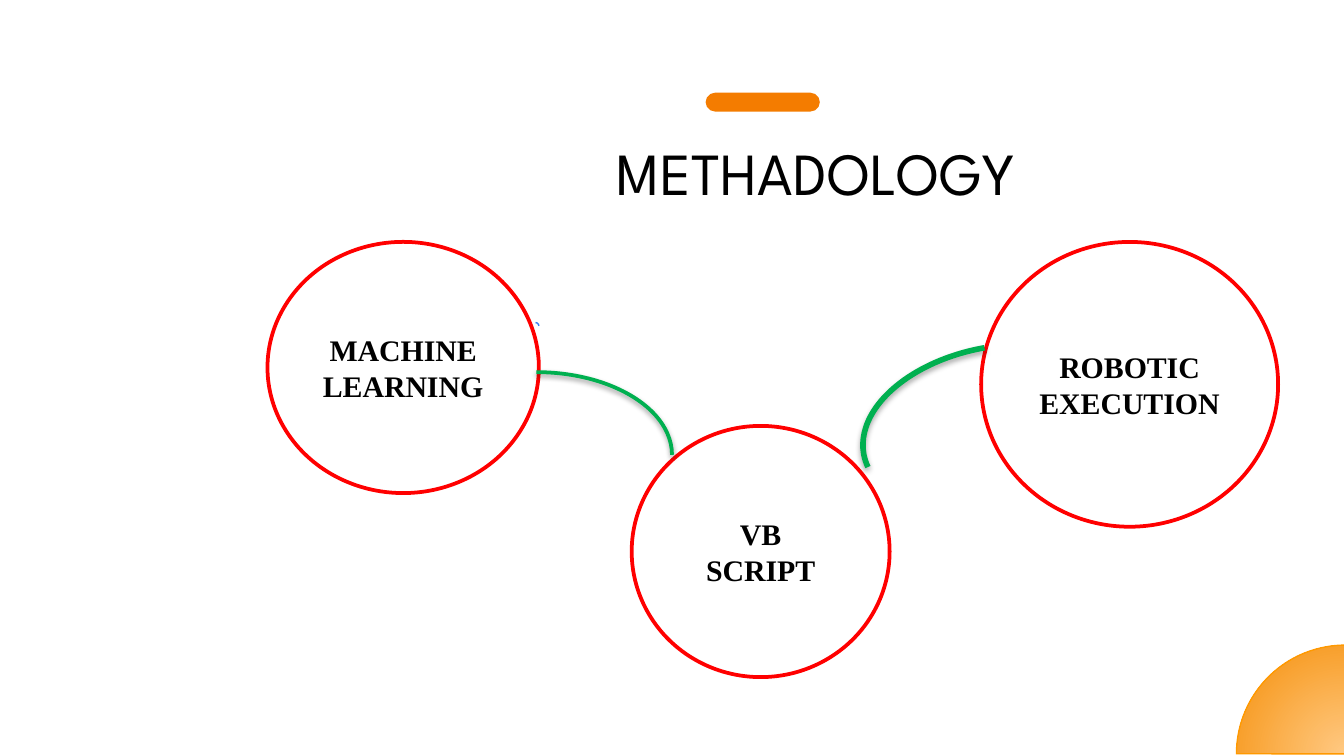
"""Builds the methodology slide: three circled steps joined by arcs."""
from lxml import etree
from pptx import Presentation
from pptx.dml.color import RGBColor
from pptx.enum.shapes import MSO_SHAPE
from pptx.enum.text import MSO_ANCHOR, PP_ALIGN
from pptx.oxml.ns import qn
from pptx.util import Pt

ELLIPSE = MSO_SHAPE.OVAL
ARC = MSO_SHAPE.ARC
PIE = MSO_SHAPE.PIE
ROUNDED = MSO_SHAPE.ROUNDED_RECTANGLE
MIDDLE = MSO_ANCHOR.MIDDLE
LEFT, CENTER = PP_ALIGN.LEFT, PP_ALIGN.CENTER


def color(value):
    return RGBColor.from_string(value)


class SlideBuilder:
    title_font = "League Spartan"
    body_font = "Times New Roman"
    black, white = "000000", "FFFFFF"
    orange, red, green, blue = "F47C00", "FF0000", "00B050", "3B7FF2"

    def __init__(self, slide):
        self.slide = slide

    def shape(self, kind, box, fill=None, line=None, weight=0.75, adjustments=()):
        shape = self.slide.shapes.add_shape(kind, *map(Pt, box))
        shape.shadow.inherit = False
        for index, value in enumerate(adjustments):
            shape.adjustments[index] = value
        if fill:
            shape.fill.solid()
            shape.fill.fore_color.rgb = color(fill)
        else:
            shape.fill.background()
        if line:
            shape.line.color.rgb = color(line)
            shape.line.width = Pt(weight)
        else:
            shape.line.fill.background()
        return shape

    def text(self, shape, lines, font, size, bold, align, margins):
        frame = shape.text_frame
        frame.word_wrap = True
        frame.vertical_anchor = MIDDLE
        frame.margin_left = frame.margin_right = Pt(margins[0])
        frame.margin_top = frame.margin_bottom = Pt(margins[1])
        for index, line in enumerate(lines):
            paragraph = frame.add_paragraph() if index else frame.paragraphs[0]
            paragraph.text = line
            paragraph.alignment = align
            paragraph.font.name = font
            paragraph.font.size = Pt(size)
            paragraph.font.bold = bold
            paragraph.font.color.rgb = color(self.black)

    def title(self, text, box):
        shape = self.slide.shapes.add_textbox(*map(Pt, box))
        self.text(shape, [text], self.title_font, 32, False, LEFT, (7.2, 7.2))

    def step(self, lines, box):
        shape = self.shape(ELLIPSE, box, self.white, self.red, 2)
        self.text(shape, lines, self.body_font, 16, True, CENTER, (7.2, 3.6))

    def link(self, box, weight, adjustments, distance, opacity, rotation=0):
        shape = self.shape(ARC, box, None, self.green, weight, adjustments)
        shape.rotation = rotation
        effects = shape._element.spPr.find(qn("a:effectLst"))
        shadow = etree.SubElement(
            effects, qn("a:outerShdw"), blurRad=str(Pt(3.1)),
            dist=str(Pt(distance)), dir="5400000", rotWithShape="0")
        tint = etree.SubElement(shadow, qn("a:srgbClr"), val=self.black)
        etree.SubElement(tint, qn("a:alpha"), val=str(opacity * 1000))

    def corner(self, box, inner, outer, line):
        shape = self.shape(PIE, box, None, line, 0.75, (108.04, 162))
        shape.fill.gradient()
        for stop, value in zip(shape.fill.gradient_stops, (inner, outer)):
            stop.color.rgb = color(value)
        gradient = shape._element.spPr.find(qn("a:gradFill"))
        gradient.remove(gradient.find(qn("a:lin")))
        path = etree.SubElement(gradient, qn("a:path"), path="circle")
        sides = dict.fromkeys("ltrb", "50000")
        etree.SubElement(path, qn("a:fillToRect"), **sides)


presentation = Presentation()
presentation.slide_width, presentation.slide_height = Pt(720), Pt(405)
builder = SlideBuilder(presentation.slides.add_slide(presentation.slide_layouts[6]))

builder.corner((662.4, 345.6, 116.6, 116.6), "FFC982", "F58F09", "FF9900")
builder.shape(ROUNDED, (378, 49.7, 61.2, 10.1), builder.orange, adjustments=(0.5,))
builder.title("METHADOLOGY", (323.3, 54.7, 331.2, 74.9))

STEPS = [
    (["MACHINE LEARNING"], (143.3, 129.6, 145.4, 134.6)),
    (["VB SCRIPT"], (338.4, 228.2, 138.2, 134.6)),
    (["ROBOTIC", "EXECUTION"], (525.6, 129.6, 159.1, 152.6)),
]
for lines, box in STEPS:
    builder.step(lines, box)

builder.shape(ARC, (285.1, 172.8, 3.6, 3.6), None, builder.blue, adjustments=(162, 0))
builder.link((214.6, 199.4, 145.4, 88.6), 2, (162, 0), 1.6, 38)
builder.link((461.5, 185.8, 145.4, 88.6), 3, (212.59, 54.97), 1.8, 35, 169.5)

presentation.save("out.pptx")
